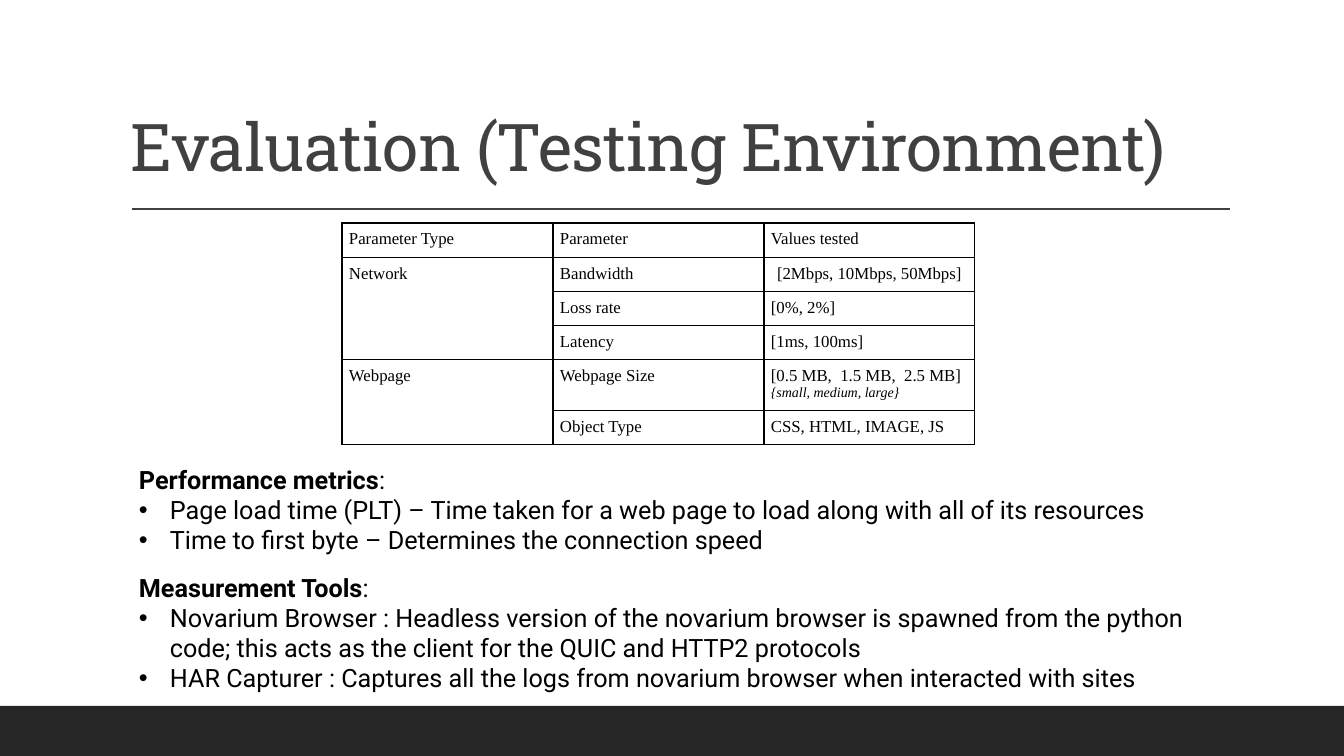
from lxml.etree import SubElement
from pptx import Presentation
from pptx.dml.color import RGBColor
from pptx.enum.shapes import MSO_CONNECTOR, MSO_SHAPE
from pptx.enum.text import MSO_ANCHOR, PP_ALIGN
from pptx.oxml.ns import qn
from pptx.util import Pt

BLACK = RGBColor(0x00, 0x00, 0x00)
CHARCOAL = RGBColor(0x26, 0x26, 0x26)
GRAY = RGBColor(0x40, 0x40, 0x40)

EMU_PER_PX = 914400 / 100.8

PARAMETER_ROWS = [
    ("Parameter Type", "Parameter", "Values tested"),
    ("Network", "Bandwidth", "[2Mbps, 10Mbps, 50Mbps]"),
    ("", "Loss rate", "[0%, 2%]"),
    ("", "Latency", "[1ms, 100ms]"),
    ("Webpage", "Webpage Size", "[0.5 MB,  1.5 MB,  2.5 MB]"),
    ("", "Object Type", "CSS, HTML, IMAGE, JS"),
]
ROW_HEIGHTS = [32, 33, 33, 32, 48, 33]
GROUPS = [(1, 3), (4, 5)]  # first and last row of each parameter type

METRICS = [
    "Page load time (PLT) – Time taken for a web page to load along with all of its resources",
    "Time to first byte – Determines the connection speed",
]
TOOLS = [
    "Novarium Browser : Headless version of the novarium browser is spawned from the python "
    "code; this acts as the client for the QUIC and HTTP2 protocols",
    "HAR Capturer : Captures all the logs from novarium browser when interacted with sites",
]


def px(length):
    return round(length * EMU_PER_PX)


def write(paragraph, text, *, size, font, color=BLACK, bold=False, italic=False, spacing=None):
    """Append a formatted run; spacing is in hundredths of a point."""
    run = paragraph.add_run()
    run.text = text
    run.font.size = Pt(size)
    run.font.name = font
    run.font.color.rgb = color
    run.font.bold = bold
    run.font.italic = italic
    if spacing is not None:
        run._r.get_or_add_rPr().set("spc", str(spacing))


def add_bullet(paragraph, indent):
    properties = paragraph._p.get_or_add_pPr()
    properties.set("marL", str(px(indent)))
    properties.set("indent", str(-px(indent)))
    SubElement(properties, qn("a:buFont"), typeface="Arial")
    SubElement(properties, qn("a:buChar"), char="•")


def add_borders(cell, color, width):
    properties = cell._tc.get_or_add_tcPr()
    for side in "LRTB":
        border = SubElement(properties, qn(f"a:ln{side}"), w=str(Pt(width)))
        fill = SubElement(border, qn("a:solidFill"))
        SubElement(fill, qn("a:srgbClr"), val=str(color))


class SlideBuilder:
    heading_font = "Roboto Slab"
    body_font = "Roboto"
    table_font = "Times New Roman"

    def __init__(self, slide):
        self.slide = slide

    def band(self, left, top, width, height, color):
        band = self.slide.shapes.add_shape(
            MSO_SHAPE.RECTANGLE, px(left), px(top), px(width), px(height))
        band.shadow.inherit = False
        band.fill.solid()
        band.fill.fore_color.rgb = color
        band.line.fill.background()

    def rule(self, left, right, y, color):
        rule = self.slide.shapes.add_connector(
            MSO_CONNECTOR.STRAIGHT, px(left), px(y), px(right), px(y))
        rule.line.color.rgb = color
        rule.line.width = Pt(1)
        SubElement(rule._element.spPr, qn("a:effectLst"))

    def text_frame(self, left, top, width, height):
        frame = self.slide.shapes.add_textbox(
            px(left), px(top), px(width), px(height)).text_frame
        frame.word_wrap = True
        return frame

    def title(self, left, top, width, height, text):
        frame = self.text_frame(left, top, width, height)
        frame.vertical_anchor = MSO_ANCHOR.BOTTOM
        heading = frame.paragraphs[0]
        heading.line_spacing = 0.9
        write(heading, text, size=47, font=self.heading_font, color=GRAY, spacing=-50)

    def bullet_section(self, left, top, width, height, heading, items):
        frame = self.text_frame(left, top, width, height)
        lead = frame.paragraphs[0]
        write(lead, heading, size=18, font=self.body_font, bold=True)
        write(lead, ":", size=18, font=self.body_font)
        for item in items:
            paragraph = frame.add_paragraph()
            add_bullet(paragraph, 31)
            write(paragraph, item, size=18, font=self.body_font)

    def table(self, left, top, column_width, row_heights, rows, groups):
        """Draw a bordered table, merging the first column over each group of rows."""
        columns = len(rows[0])
        table = self.slide.shapes.add_table(
            len(rows), columns, px(left), px(top),
            px(column_width * columns), px(sum(row_heights))).table
        table.first_row = table.horz_banding = False
        for column in table.columns:
            column.width = px(column_width)
        for row, height, texts in zip(table.rows, row_heights, rows):
            row.height = px(height)
            for cell, text in zip(row.cells, texts):
                cell.margin_left = cell.margin_right = px(7)
                cell.margin_top = cell.margin_bottom = px(7)
                add_borders(cell, BLACK, 1)
                cell.fill.background()
                if text:
                    write(cell.text_frame.paragraphs[0], text, size=12, font=self.table_font)
        for first, last in groups:
            table.cell(first, 0).merge(table.cell(last, 0))
        return table


def main():
    presentation = Presentation()
    presentation.slide_width = px(1344)
    presentation.slide_height = px(756)
    builder = SlideBuilder(presentation.slides.add_slide(presentation.slide_layouts[6]))

    builder.band(0, 706, 1344, 50, CHARCOAL)
    builder.rule(132, 1230, 209, GRAY)
    builder.title(121, 31, 1109, 160, "Evaluation (Testing Environment)")

    parameters = builder.table(342, 223, 211, ROW_HEIGHTS, PARAMETER_ROWS, GROUPS)
    parameters.cell(1, 2).text_frame.paragraphs[0].alignment = PP_ALIGN.CENTER
    size_note = parameters.cell(4, 2).text_frame.add_paragraph()
    write(size_note, "{small, medium, large}", size=10, font=builder.table_font, italic=True)

    builder.bullet_section(129, 459, 1109, 102, "Performance metrics", METRICS)
    builder.bullet_section(129, 567, 1109, 132, "Measurement Tools", TOOLS)

    presentation.save("out.pptx")


if __name__ == "__main__":
    main()
